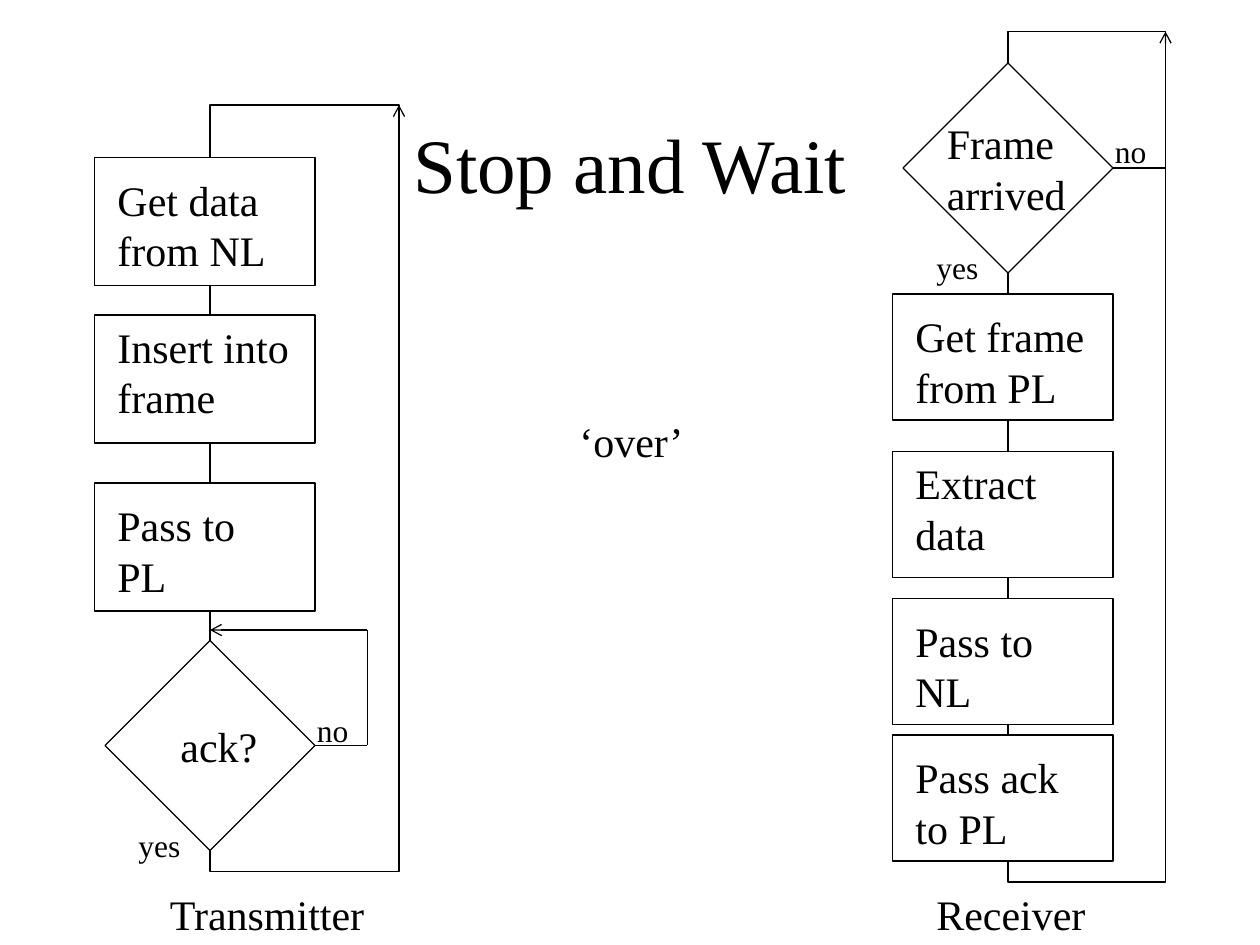
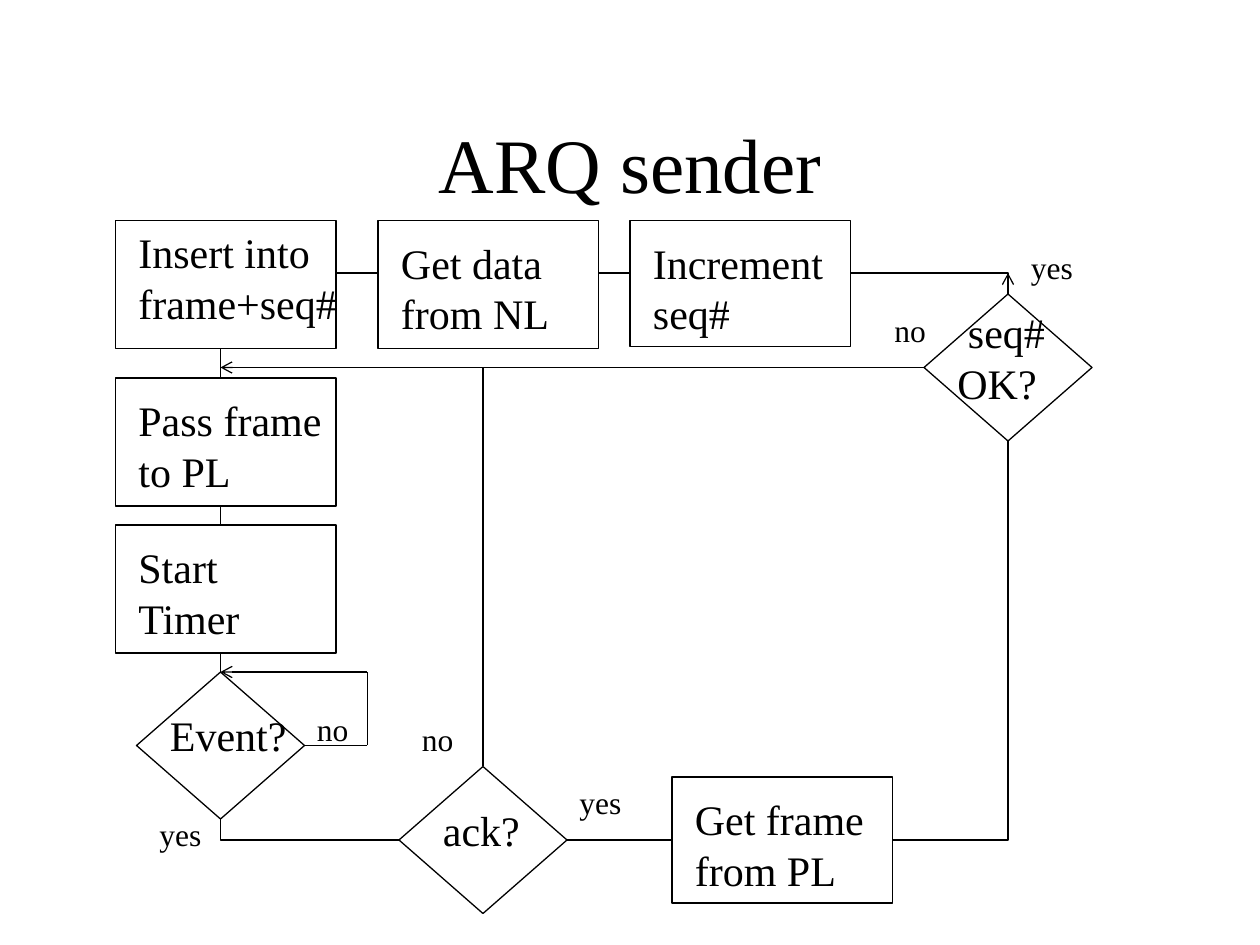
from lxml import etree
from pptx import Presentation
from pptx import util as u
from pptx.dml.color import RGBColor
from pptx.enum import shapes, text
from pptx.oxml.ns import qn

STEP = 2.54 / 12  # drawing grid in cm
FONT = "Times New Roman"
INK = "000000"
PAPER = "FFFFFF"
BOX_W, BOX_H = 21, 12.2
TOP, LEFT, BOTTOM, RIGHT = range(4)
KIND = shapes.MSO_SHAPE


def grid(*steps):
    """Turn grid steps into lengths."""
    return [u.Cm(n * STEP) for n in steps]


def ink(code):
    return RGBColor.from_string(code)


def write(slide, words, x, y, w, h, size=24, align=text.PP_ALIGN.LEFT,
          anchor=text.MSO_ANCHOR.MIDDLE, pad=0):
    """Add a text box; pad indents the first line, in points."""
    frame = slide.shapes.add_textbox(*grid(x, y, w, h)).text_frame
    frame.word_wrap = True
    frame.vertical_anchor = anchor
    frame.text = words
    for para in frame.paragraphs:
        para.alignment = align
        if pad:
            para._p.get_or_add_pPr().set("indent", str(u.Pt(pad)))
        para.font.size = u.Pt(size)
        para.font.name = FONT
        para.font.color.rgb = ink(INK)


def block(slide, kind, x, y, w, h, fill=PAPER):
    shape = slide.shapes.add_shape(kind, *grid(x, y, w, h))
    shape.shadow.inherit = False
    if fill:
        shape.fill.solid()
        shape.fill.fore_color.rgb = ink(fill)
    else:
        shape.fill.background()
    shape.line.color.rgb = ink(INK)
    shape.line.width = u.Pt(0.75)
    return shape


def line(slide, a, b, arrow=False, start=None, end=None):
    """Draw from a to b; start and end are (shape, side) joints."""
    link = slide.shapes.add_connector(
        shapes.MSO_CONNECTOR.STRAIGHT, *grid(*a, *b))
    link.line.color.rgb = ink(INK)
    link.line.width = u.Pt(0.75)
    if arrow:
        etree.SubElement(link.line._get_or_add_ln(), qn("a:tailEnd"),
                         type="arrow")
    etree.SubElement(link._element.spPr, qn("a:effectLst"))
    if start:
        link.begin_connect(*start)
    if end:
        link.end_connect(*end)


def loop(slide, x, y, w, h, tail):
    """Frame that carries the flow, with an arrow up its right side."""
    block(slide, KIND.RECTANGLE, x, y, w, h, fill=None)
    line(slide, (x + w, y + tail), (x + w, y), arrow=True)


def process(slide, words, x, y, h=BOX_H, drop=1):
    box = block(slide, KIND.FLOWCHART_PROCESS, x, y, BOX_W, h)
    write(slide, words, x + 1, y + drop, BOX_W + 1, 10.8,
          anchor=text.MSO_ANCHOR.TOP)
    return box


def choice(slide, words, x, y, w, h, yes, no, shift=(2, -1), pad=0):
    """Decision diamond; yes and no are label offsets from its corner."""
    gem = block(slide, KIND.FLOWCHART_DECISION, x, y, w, h)
    write(slide, words, x + shift[0], y + shift[1], 15, h, pad=pad)
    for label, (dx, dy) in (("yes", yes), ("no", no)):
        write(slide, label, x + dx, y + dy, 6.5, 4.8, size=18)
    return gem


def retry(slide, gem, x, y, turn, top, back):
    """Lead the diamond's right point (x, y) up and back to the flow."""
    line(slide, (x, y), (turn, y), start=(gem, RIGHT))
    line(slide, (turn, y), (turn, top))
    line(slide, (turn, top), (back, top), arrow=True)


def title(slide, words):
    write(slide, words, 9, 8, 102, 15, size=44, align=text.PP_ALIGN.CENTER)


def sender(slide, x, y):
    """Transmitter column, placed from the corner of its first box."""
    loop(slide, x + 11, y - 5, 18, 73, tail=26.7)
    process(slide, "Get data\nfrom NL", x, y)
    process(slide, "Insert into\nframe", x, y + 15, drop=0)
    process(slide, "Pass to\nPL", x, y + 31)
    gem = choice(slide, "ack?", x + 1, y + 46, 20, 20, yes=(2, 17.1),
                 no=(19, 6.1), shift=(3, 0), pad=18)
    retry(slide, gem, x + 21, y + 56, x + 26, y + 45, x + 11)
    write(slide, "Transmitter", x + 5, y + 69, 23, 6, pad=6)


def taker(slide, x, y):
    """Receiver column, placed from the corner of its first box."""
    loop(slide, x + 11, y - 25, 15, 81, tail=29.6)
    steps = (("Get frame\nfrom PL", 0, 1), ("Extract\ndata", 15, 0),
             ("Pass to\nNL", 29, 1), ("Pass ack\nto PL", 42, 1))
    for words, down, drop in steps:
        process(slide, words, x, y + down, h=12, drop=drop)
    gem = choice(slide, "Frame arrived", x + 1, y - 22, 20, 20,
                 yes=(2, 17), no=(19, 6), shift=(3, 0))
    line(slide, (x + 21, y - 12), (x + 26, y - 12), start=(gem, RIGHT))
    write(slide, "Receiver", x + 2, y + 56, 23, 6, pad=6)


def wait_page(slide):
    title(slide, "Stop and Wait")
    sender(slide, 9, 15)
    taker(slide, 85, 28)
    write(slide, "‘over’", 54, 39, 13, 6, anchor=text.MSO_ANCHOR.TOP)


def arq_page(slide, x=11, y=21):
    """ARQ flow, placed from the corner of its top left box."""
    title(slide, "ARQ sender")
    loop(slide, x + 10, y + 5, 75, 54, tail=19.7)

    process(slide, "Insert into\nframe+seq#", x, y, drop=0)
    process(slide, "Get data\nfrom NL", x + 25, y)
    process(slide, "Increment\nseq#", x + 49, y, h=12)
    process(slide, "Pass frame\nto PL", x, y + 15)
    process(slide, "Start\nTimer", x, y + 29)
    fetch = process(slide, "Get frame\nfrom PL", x + 53, y + 53, h=12)

    event = choice(slide, "Event?", x + 2, y + 43, 16, 14,
                   yes=(1, 13), no=(16, 3))
    retry(slide, event, x + 18, y + 50, x + 24, y + 43, x + 10)

    ack = choice(slide, "ack?", x + 27, y + 52, 16, 14,
                 yes=(16, 1), no=(1, -5), pad=6)
    line(slide, (x + 43, y + 59), (x + 53, y + 59),
         start=(ack, RIGHT), end=(fetch, LEFT))
    line(slide, (x + 35, y + 52), (x + 35, y + 14), start=(ack, TOP))

    order = choice(slide, "seq# OK?", x + 77, y + 7, 16, 14,
                   yes=(9, -5), no=(-4, 1), pad=6)
    line(slide, (x + 77, y + 14), (x + 10, y + 14), arrow=True,
         start=(order, LEFT))


def main():
    deck = Presentation()
    deck.slide_width, deck.slide_height = grid(120, 90)
    for page in (wait_page, arq_page):
        page(deck.slides.add_slide(deck.slide_layouts[6]))
    deck.save("out.pptx")


if __name__ == "__main__":
    main()
